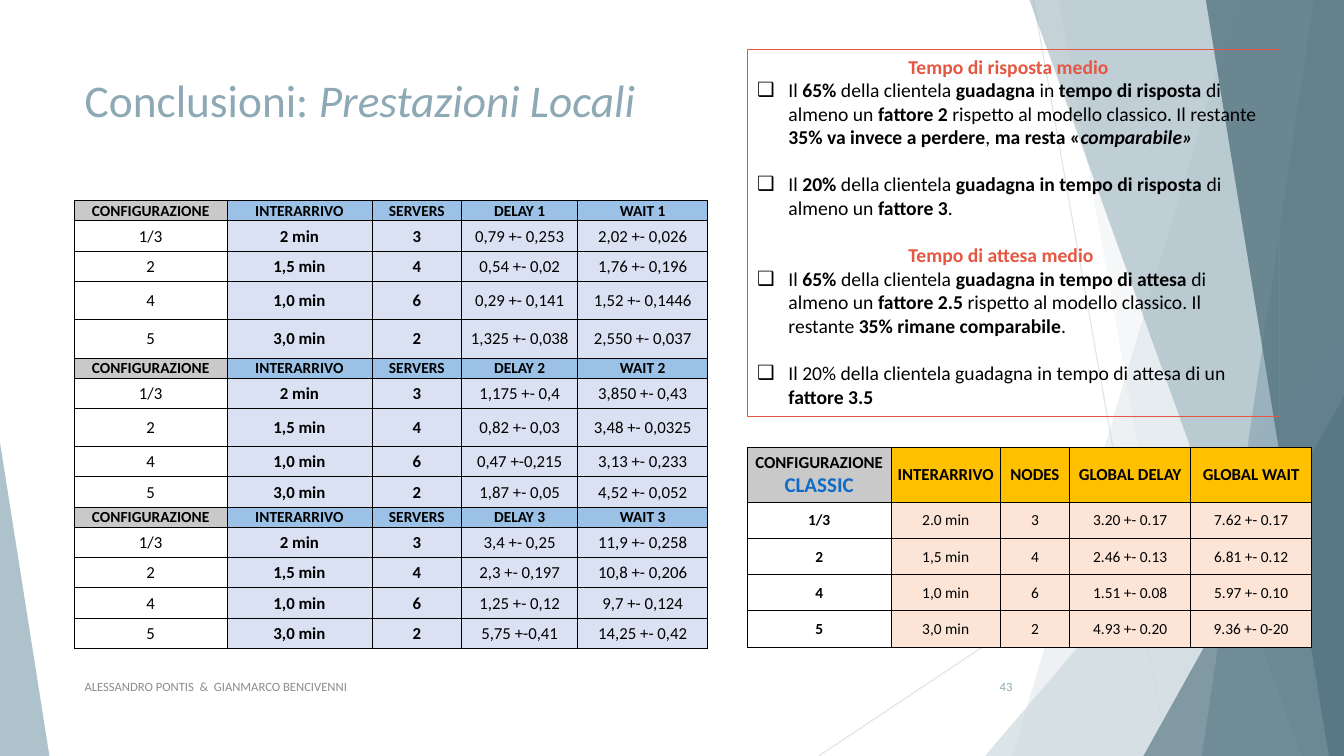
from pptx import Presentation
from pptx.dml.color import RGBColor
from pptx.enum.shapes import MSO_CONNECTOR, MSO_SHAPE
from pptx.enum.text import MSO_ANCHOR, MSO_AUTO_SIZE, PP_ALIGN
from pptx.oxml import parse_xml
from pptx.oxml.ns import nsdecls, qn
from pptx.util import Inches, Pt

LINE = MSO_CONNECTOR.STRAIGHT
TRIANGLE = MSO_SHAPE.ISOSCELES_TRIANGLE
TOP, MIDDLE = MSO_ANCHOR.TOP, MSO_ANCHOR.MIDDLE
LEFT, CENTER, RIGHT = PP_ALIGN.LEFT, PP_ALIGN.CENTER, PP_ALIGN.RIGHT
FIXED = MSO_AUTO_SIZE.NONE

BLACK = RGBColor(0x00, 0x00, 0x00)
PALE = RGBColor(0xCE, 0xDA, 0xDF)
STEEL = RGBColor(0x8D, 0xA9, 0xB5)
SLATE = RGBColor(0x55, 0x75, 0x82)
GRAY = RGBColor(0x8C, 0x8C, 0x8C)
SILVER = RGBColor(0xC9, 0xC9, 0xC9)
SKY = RGBColor(0x9B, 0xC2, 0xE6)
ICE = RGBColor(0xD9, 0xE1, 0xF2)
GOLD = RGBColor(0xFF, 0xC0, 0x00)
PEACH = RGBColor(0xFC, 0xE4, 0xD6)
BLUE = RGBColor(0x10, 0x6B, 0xC7)
RED = RGBColor(0xE5, 0x57, 0x42)


class Deck:
    font = "Calibri"

    def __init__(self):
        self.prs = Presentation()
        self.prs.slide_width, self.prs.slide_height = Inches(13.33), Inches(7.5)
        self.slide = self.prs.slides.add_slide(self.prs.slide_layouts[1])
        self.shapes = self.slide.shapes

    def fade(self, shape, alpha):
        color = shape.element.spPr.find(".//" + qn("a:srgbClr"))
        color.append(parse_xml(f'<a:alpha {nsdecls("a")} val="{alpha * 1000}"/>'))

    def paint(self, shape, color, alpha):
        shape.shadow.inherit = False
        shape.fill.solid()
        shape.fill.fore_color.rgb = color
        shape.line.fill.background()
        self.fade(shape, alpha)

    def line(self, *ends):
        line = self.shapes.add_connector(LINE, *map(Inches, ends))
        line.line.color.rgb = PALE
        line.line.width = Pt(0.75)
        self.fade(line, 70)
        line.element.spPr.append(parse_xml(f'<a:effectLst {nsdecls("a")}/>'))

    def band(self, top, foot, color, alpha):
        """Fill from a slanted left edge to the right edge of the slide."""
        points = [(top, 0), (13.33, 0), (13.33, 7.5), (foot, 7.5)]
        points = [(Inches(x), Inches(y)) for x, y in points]
        form = self.shapes.build_freeform(*points[0])
        form.add_line_segments(points[1:])
        self.paint(form.convert_to_shape(), color, alpha)

    def wedge(self, box, peak, color, alpha):
        shape = self.shapes.add_shape(TRIANGLE, *map(Inches, box))
        shape.adjustments[0] = peak
        self.paint(shape, color, alpha)

    def text(self, para, words, size, color=BLACK, bold=False, align=LEFT):
        """Add runs: * switches bold, a leading _ makes a run italic."""
        para.alignment = align
        for i, part in enumerate(words.split("*")):
            if part:
                run = para.add_run()
                run.text = part.removeprefix("_")
                look = {"name": self.font, "size": Pt(size), "bold": bold or i % 2 == 1,
                        "italic": part.startswith("_")}
                for key, value in look.items():
                    setattr(run.font, key, value)
                run.font.color.rgb = color

    def frame(self, shape, anchor):
        look = {"word_wrap": True, "auto_size": FIXED, "vertical_anchor": anchor}
        for key, value in look.items():
            setattr(shape.text_frame, key, value)
        return shape.text_frame.paragraphs[0]

    def place(self, shape, box):
        for key, value in zip(("left", "top", "width", "height"), box):
            setattr(shape, key, Inches(value))
        self.shapes.element.append(shape.element)

    def title(self, box, words):
        shape = self.shapes.title
        self.place(shape, box)
        self.text(self.frame(shape, TOP), words, 32.4, STEEL)

    def label(self, box, words, color, align=LEFT):
        shape = self.shapes.add_textbox(*map(Inches, box))
        self.text(self.frame(shape, MIDDLE), words, 9, color, align=align)

    def body(self, box, groups):
        """Fill the body with headings, each followed by its bulleted points."""
        body = self.slide.placeholders[1]
        self.place(body, box)
        body.line.color.rgb = RED
        body.line.width = Pt(0.75)
        para = self.frame(body, TOP)
        for g, (head, points) in enumerate(groups):
            for i, words in enumerate([head, *points]):
                if g or i:
                    para = body.text_frame.add_paragraph()
                gap = i > 1 or (g and not i)
                para.space_before = Pt(17 if gap else 0)
                props = para._p.get_or_add_pPr()
                props.set("marL", str(Inches(0.31 if i else 1.5)))
                props.set("indent", str(Inches(-0.31 if i else 0)))
                mark = ("buChar", 'char="❑"') if i else ("buNone", "")
                props.append(parse_xml(f'<a:{mark[0]} {nsdecls("a")} {mark[1]}/>'))
                self.text(para, words, 14, BLACK if i else RED, bold=not i)

    def cell(self, cell, fill):
        props = cell._tc.get_or_add_tcPr()
        for side in "LRTB":
            props.append(parse_xml(
                f'<a:ln{side} {nsdecls("a")} w="6350"><a:solidFill>'
                f'<a:srgbClr val="{BLACK}"/></a:solidFill></a:ln{side}>'))
        if fill:
            cell.fill.solid()
            cell.fill.fore_color.rgb = fill
        else:
            cell.fill.background()
        look = {"margin_left": Inches(0.01), "margin_right": Inches(0.01),
                "margin_top": Inches(0.01), "margin_bottom": 0,
                "vertical_anchor": MIDDLE}
        for key, value in look.items():
            setattr(cell, key, value)

    def table(self, spot, cols, tall, rows, tints, sizes, strong):
        """Draw rows; every fifth one is a header, strong lists the bold columns."""
        box = (*spot, sum(cols), sum(tall))
        grid = self.shapes.add_table(len(rows), len(cols), *map(Inches, box)).table
        grid.first_row = grid.horz_banding = False
        for col, width in zip(grid.columns, cols):
            col.width = Inches(width)
        for r, (row, height) in enumerate(zip(rows, tall)):
            grid.rows[r].height = Inches(height)
            head = r % 5 == 0
            for c, words in enumerate(row):
                cell = grid.cell(r, c)
                first = SILVER if head else None
                self.cell(cell, tints[not head] if c else first)
                para = cell.text_frame.paragraphs[0]
                top, *rest = words.split("\n")
                self.text(para, top, sizes[not head], bold=head or c in strong,
                          align=CENTER)
                for low in rest:
                    self.text(cell.text_frame.add_paragraph(), low, 15, BLUE, True, CENTER)


CASES = [("1/3", "2 min", "3"), ("2", "1,5 min", "4"),
         ("4", "1,0 min", "6"), ("5", "3,0 min", "2")]
LOCAL = [
    [("0,79 +- 0,253", "2,02 +- 0,026"), ("0,54 +- 0,02", "1,76 +- 0,196"),
     ("0,29 +- 0,141", "1,52 +- 0,1446"), ("1,325 +- 0,038", "2,550 +- 0,037")],
    [("1,175 +- 0,4", "3,850 +- 0,43"), ("0,82 +- 0,03", "3,48 +- 0,0325"),
     ("0,47 +-0,215", "3,13 +- 0,233"), ("1,87 +- 0,05", "4,52 +- 0,052")],
    [("3,4 +- 0,25", "11,9 +- 0,258"), ("2,3 +- 0,197", "10,8 +- 0,206"),
     ("1,25 +- 0,12", "9,7 +- 0,124"), ("5,75 +-0,41", "14,25 +- 0,42")],
]
CLASSIC = [
    ("CONFIGURAZIONE\nCLASSIC", "INTERARRIVO", "NODES", "GLOBAL DELAY", "GLOBAL WAIT"),
    ("1/3", "2.0 min", "3", "3.20 +- 0.17", "7.62 +- 0.17"),
    (*CASES[1], "2.46 +- 0.13", "6.81 +- 0.12"),
    (*CASES[2], "1.51 +- 0.08", "5.97 +- 0.10"),
    (*CASES[3], "4.93 +- 0.20", "9.36 +- 0-20"),
]
POINTS = [
    ("Tempo di risposta medio", [
        "Il *65%* della clientela *guadagna* in *tempo di risposta *di almeno un "
        "*fattore 2* rispetto al modello classico. Il restante "
        "*35% va invece a perdere*, *ma resta «**_comparabile»*",
        "Il *20%* della clientela *guadagna in tempo di risposta *di almeno un "
        "*fattore 3*."]),
    ("Tempo di attesa medio", [
        "Il *65% *della clientela *guadagna in tempo di attesa *di almeno un "
        "*fattore 2.5 *rispetto al modello classico. Il restante "
        "*35% rimane comparabile*.",
        "Il 20% della clientela guadagna in tempo di attesa di un *fattore 3.5*"]),
]


def main():
    deck = Deck()
    deck.line(10.25, 0, 11.58, 7.5)
    deck.line(13.33, 4.03, 8.12, 7.5)
    deck.band(12.28, 10.04, PALE, 36)
    deck.band(10.5, 11.83, PALE, 20)
    deck.wedge((9.77, 3.33, 3.56, 4.17), 1, PALE, 72)
    deck.band(10.21, 12.91, STEEL, 50)
    deck.band(13.03, 11.92, STEEL, 70)
    deck.band(11.96, 13.18, SLATE, 80)
    deck.wedge((11.34, 3.93, 1.99, 3.57), 1, SLATE, 66)
    deck.wedge((0, 4.39, 0.49, 3.11), 0, STEEL, 70)

    deck.title((0.74, 0.67, 10.98, 0.98), "Conclusioni: **_Prestazioni Locali")
    deck.label((0.74, 6.61, 6.89, 0.4), "ALESSANDRO PONTIS  &  GIANMARCO BENCIVENNI", GRAY)
    deck.label((9.39, 6.61, 0.75, 0.4), "43", STEEL, RIGHT)

    rows = []
    for n, values in enumerate(LOCAL, 1):
        rows.append(("CONFIGURAZIONE", "INTERARRIVO", "SERVERS", f"DELAY {n}", f"WAIT {n}"))
        rows += [case + pair for case, pair in zip(CASES, values)]
    tall = [0.2 if r % 5 == 0 else 0.38 if r in (3, 4, 7) else 0.3 for r in range(len(rows))]
    deck.table((0.74, 1.99), (1.51, 1.44, 0.89, 1.15, 1.29), tall, rows,
               (SKY, ICE), (11, 12), (1, 2))
    deck.table((7.41, 4.44), (1.43, 1.08, 0.69, 1.2, 1.2), [0.54] + [0.36] * 4, CLASSIC,
               (GOLD, PEACH), (12, 11), (0,))
    deck.body((7.41, 0.49, 5.28, 3.64), POINTS)
    deck.prs.save("out.pptx")


if __name__ == "__main__":
    main()
